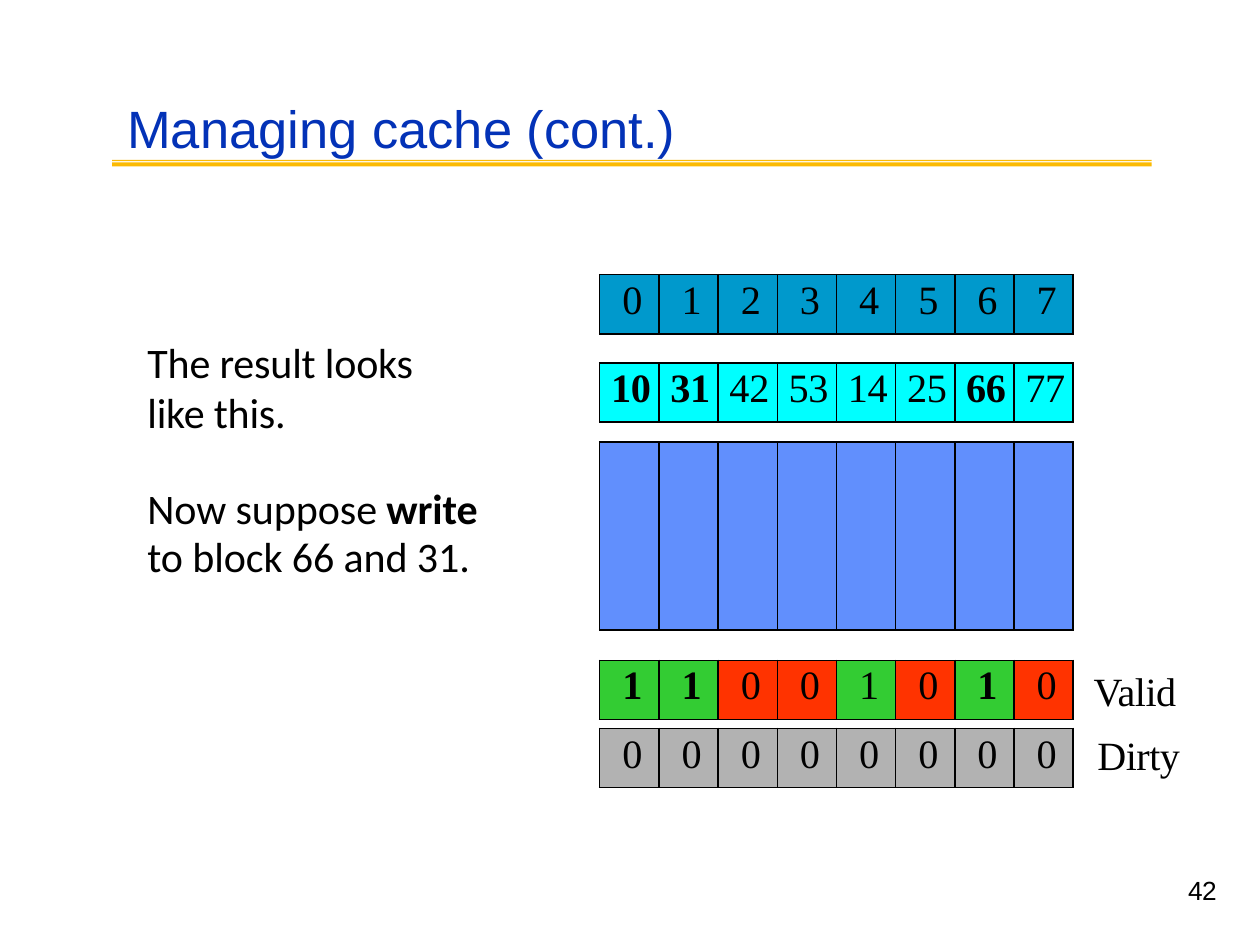
from lxml import etree
from pptx import Presentation
from pptx import util as u
from pptx.dml.color import RGBColor
from pptx.enum import text
from pptx.oxml import ns

W, H = u.Inches(10), u.Inches(7.5)
SERIF = "Times New Roman"
GREEN, RED = "33CC33", "FF3300"
BLOCKS = [10, 31, 42, 53, 14, 25, 66, 77]
VALID = [1, 1, 0, 0, 1, 0, 1, 0]


def share(x, y, w, h):
    """Turn percentages of the slide into left, top, width and height."""
    return [int(v * side / 100) for v, side in zip((x, y, w, h), (W, H, W, H))]


def paint(target, colour):
    """Give a fill or a font a solid hex colour."""
    if hasattr(target, "solid"):
        target.solid()
        target = target.fore_color
    else:
        target = target.color
    target.rgb = RGBColor.from_string(colour)


def assign(obj, values):
    """Set every attribute named in a dict."""
    for name, value in values.items():
        setattr(obj, name, value)


def place(sp, box):
    """Move a shape to a box."""
    assign(sp, dict(zip(("left", "top", "width", "height"), share(*box))))


def frame(tf, anchor=text.MSO_ANCHOR.TOP):
    """Remove the insets of a text frame and keep its size fixed."""
    assign(tf, dict(margin_left=0, margin_top=u.Inches(0.01), margin_right=0, margin_bottom=0,
                    word_wrap=True, auto_size=text.MSO_AUTO_SIZE.NONE, vertical_anchor=anchor))


def write(p, runs, size, face, colour="000000", left=0.01, indent=0, right=0, spc=0, **spacing):
    """Write (wording, bold) runs into an unbulleted paragraph."""
    pPr = p._p.get_or_add_pPr()
    for name, value in (("marL", left), ("marR", right), ("indent", indent)):
        pPr.set(name, str(u.Inches(value)))
    etree.SubElement(pPr, ns.qn("a:buNone"))
    assign(p, dict(alignment=text.PP_ALIGN.LEFT, space_before=u.Pt(0)) | spacing)
    for wording, bold in runs:
        r = p.add_run()
        r.text = wording
        assign(r.font, dict(size=u.Pt(size), name=face, bold=bold))
        paint(r.font, colour)
        r._r.get_or_add_rPr().set("spc", str(int(spc * 100)))


def heading(s, box):
    """Place the title and the double rule below it."""
    place(s.shapes.title, box)
    tf = s.shapes.title.text_frame
    frame(tf, text.MSO_ANCHOR.BOTTOM)
    write(tf.paragraphs[0], [("Managing cache (cont.)", False)], 30, "Arial", "0332B7")
    bands = [share(8.9, 16.93, 82.5, 0.14), share(8.9, 17.2, 82.5, 0.4)]
    fb = s.shapes.build_freeform(*bands[0][:2])
    for i, (x, y, w, h) in enumerate(bands):
        if i:
            fb.move_to(x, y)
        fb.add_line_segments([(x + w, y), (x + w, y + h), (x, y + h)], close=True)
    rule = fb.convert_to_shape()
    rule.shadow.inherit = False
    paint(rule.fill, "FBBA03")
    rule.line.fill.background()


def explanation(s, box):
    """Fill the body placeholder with the two remarks."""
    body = s.placeholders[1]
    place(body, box)
    frame(body.text_frame)
    write(body.text_frame.paragraphs[0], [("The result looks like this.", False)],
          24, "Calibri", right=0.5, spc=-0.1)
    write(body.text_frame.add_paragraph(),
          [("Now suppose ", False), ("write ", True), ("to block 66 and 31.", False)],
          24, "Calibri", spc=-0.05, space_before=u.Pt(27.3), line_spacing=u.Pt(27.4))


def border(cell):
    """Draw a thin black line on all four sides of a cell."""
    tcPr = cell._tc.get_or_add_tcPr()
    for i, side in enumerate(("lnL", "lnR", "lnT", "lnB")):
        ln = etree.Element(ns.qn("a:" + side), w=str(u.Pt(1)))
        fill = etree.SubElement(ln, ns.qn("a:solidFill"))
        etree.SubElement(fill, ns.qn("a:srgbClr"), val="000000")
        tcPr.insert(i, ln)


def cache_row(s, box, values, fills, bold=(), left=0.18, spc=-0.5):
    """Place one strip of eight cache cells."""
    table = s.shapes.add_table(1, len(values), *share(*box)).table
    assign(table, dict(first_row=False, horz_banding=False))
    for i, (cell, value, colour) in enumerate(zip(table.rows[0].cells, values, fills)):
        assign(cell, dict(margin_left=0, margin_top=u.Inches(0.03),
                          margin_right=0, margin_bottom=0))
        paint(cell.fill, colour)
        border(cell)
        if value != "":
            write(cell.text_frame.paragraphs[0], [(str(value), i in bold)], 23, SERIF,
                  left=left, spc=spc)


def cache(s, x, w):
    """Stack the strips of the cache in one column."""
    row = 6.27
    changed = (0, 1, 6)
    cache_row(s, (x, 46.8, w, 19.87), [""] * 8, ["618FFD"] * 8)
    cache_row(s, (x, 69.87, w, row), VALID, [GREEN if v else RED for v in VALID], changed)
    cache_row(s, (x, 77.07, w, row), [0] * 8, ["B2B2B2"] * 8)
    cache_row(s, (x, 29.07, w, row), range(8), ["0099CC"] * 8)
    cache_row(s, (x, 38.4, w, row), BLOCKS, ["00FFFF"] * 8, changed, left=0.09, spc=-0.2)


def label(s, box, wording, size, face, **style):
    """Place a small text box."""
    tf = s.shapes.add_textbox(*share(*box)).text_frame
    frame(tf)
    write(tf.paragraphs[0], [(wording, False)], size, face, **style)


def main():
    """Build the slide and save it."""
    prs = Presentation()
    assign(prs, dict(slide_width=W, slide_height=H))
    s = prs.slides.add_slide(prs.slide_layouts[1])
    heading(s, (10, 9.87, 56.7, 6.93))
    explanation(s, (11.6, 35.47, 27.4, 26.13))
    cache(s, 47.6, 37.6)
    label(s, (86.7, 68.67, 7.2, 13.2), "Valid Dirty", 22.9, SERIF,
          left=0.04, indent=-0.03, spc=-0.3, line_spacing=1.33)
    label(s, (92.8, 92.53, 4.1, 6.4), "42", 15, "Arial",
          left=0.15, spc=-0.4, line_spacing=u.Pt(17.5))
    prs.save("out.pptx")


if __name__ == "__main__":
    main()
